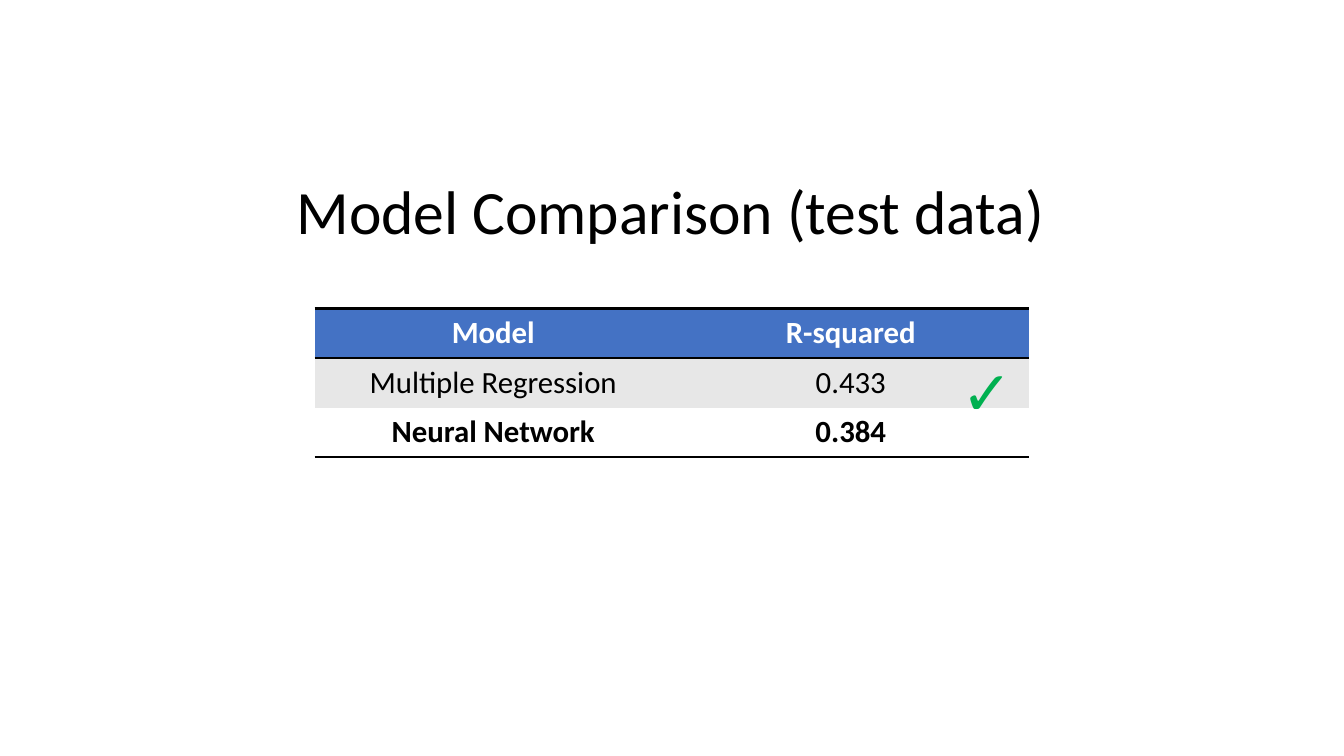
from lxml import etree
from pptx import Presentation
from pptx.dml.color import RGBColor
from pptx.enum.text import MSO_ANCHOR, MSO_AUTO_SIZE, PP_ALIGN
from pptx.oxml.ns import qn
from pptx.util import Inches, Pt

CENTER, LEFT = PP_ALIGN.CENTER, PP_ALIGN.LEFT
MIDDLE = MSO_ANCHOR.MIDDLE
GROW = MSO_AUTO_SIZE.SHAPE_TO_FIT_TEXT
FONT = "Calibri"
WIDE, HIGH = Inches(13.33), Inches(7.5)
BLACK, WHITE, BLUE, GREY, GREEN = "000000", "FFFFFF", "4472C4", "E7E7E7", "00B050"

# Each row: texts, fill, font colour, bold
ROWS = [
    (("Model", "R-squared"), BLUE, WHITE, True),
    (("Multiple Regression", "0.433"), GREY, BLACK, False),
    (("Neural Network", "0.384"), WHITE, BLACK, True),
]


def color(code):
    return RGBColor.from_string(code)


def area(left, top, width, height):
    """Turn shares of the slide into lengths."""
    return int(left * WIDE), int(top * HIGH), int(width * WIDE), int(height * HIGH)


def write(frame, text, size, code, align=LEFT, bold=False):
    frame.text = text
    para = frame.paragraphs[0]
    para.alignment = align
    font = para.font
    font.name, font.size, font.bold = FONT, Pt(size), bold
    font.color.rgb = color(code)
    return para


def border(cell, widths):
    """Draw the cell's sides; a width of 0 hides one."""
    props = cell._tc.get_or_add_tcPr()
    for spot, (side, width) in enumerate(widths.items()):
        line = etree.Element(qn(f"a:ln{side}"), w=str(Pt(width)))
        if width:
            fill = etree.SubElement(line, qn("a:solidFill"))
            etree.SubElement(fill, qn("a:srgbClr"), val=BLACK)
        else:
            etree.SubElement(line, qn("a:noFill"))
        props.insert(spot, line)


def add_title(slide, text, box):
    title = slide.shapes.title
    title.left, title.top, title.width, title.height = box
    frame = title.text_frame
    frame.word_wrap = True
    frame.vertical_anchor = MIDDLE
    frame.margin_left = frame.margin_right = Inches(0.1)
    write(frame, text, 44, BLACK).line_spacing = 0.9


def add_grid(slide, rows, box):
    table = slide.shapes.add_table(len(rows), len(rows[0][0]), *box).table
    table.first_row = table.horz_banding = False
    # Rules above and below the header and under the last row
    rules = [2, 1.5] + [0] * (len(rows) - 2) + [2]
    for r, (texts, fill, code, bold) in enumerate(rows):
        for c, text in enumerate(texts):
            cell = table.cell(r, c)
            cell.margin_left = cell.margin_right = Inches(0.12)
            cell.margin_top = cell.margin_bottom = Inches(0.06)
            cell.fill.solid()
            cell.fill.fore_color.rgb = color(fill)
            write(cell.text_frame, text, 22, code, CENTER, bold)
            border(cell, {"L": 0, "R": 0, "T": rules[r], "B": rules[r + 1]})


def add_mark(slide, text, box):
    frame = slide.shapes.add_textbox(*box).text_frame
    frame.word_wrap = False
    frame.auto_size = GROW
    write(frame, text, 44, GREEN)


def main():
    deck = Presentation()
    deck.slide_width, deck.slide_height = WIDE, HIGH
    slide = deck.slides.add_slide(deck.slide_layouts[5])

    # Heading
    add_title(slide, "Model Comparison (test data)", area(0.213, 0.187, 0.574, 0.193))
    # Results, with a tick at the better model
    add_grid(slide, ROWS, area(0.234, 0.408, 0.532, 0.195))
    add_mark(slide, "✓", area(0.708, 0.461, 0.052, 0.112))

    deck.save("out.pptx")


if __name__ == "__main__":
    main()
